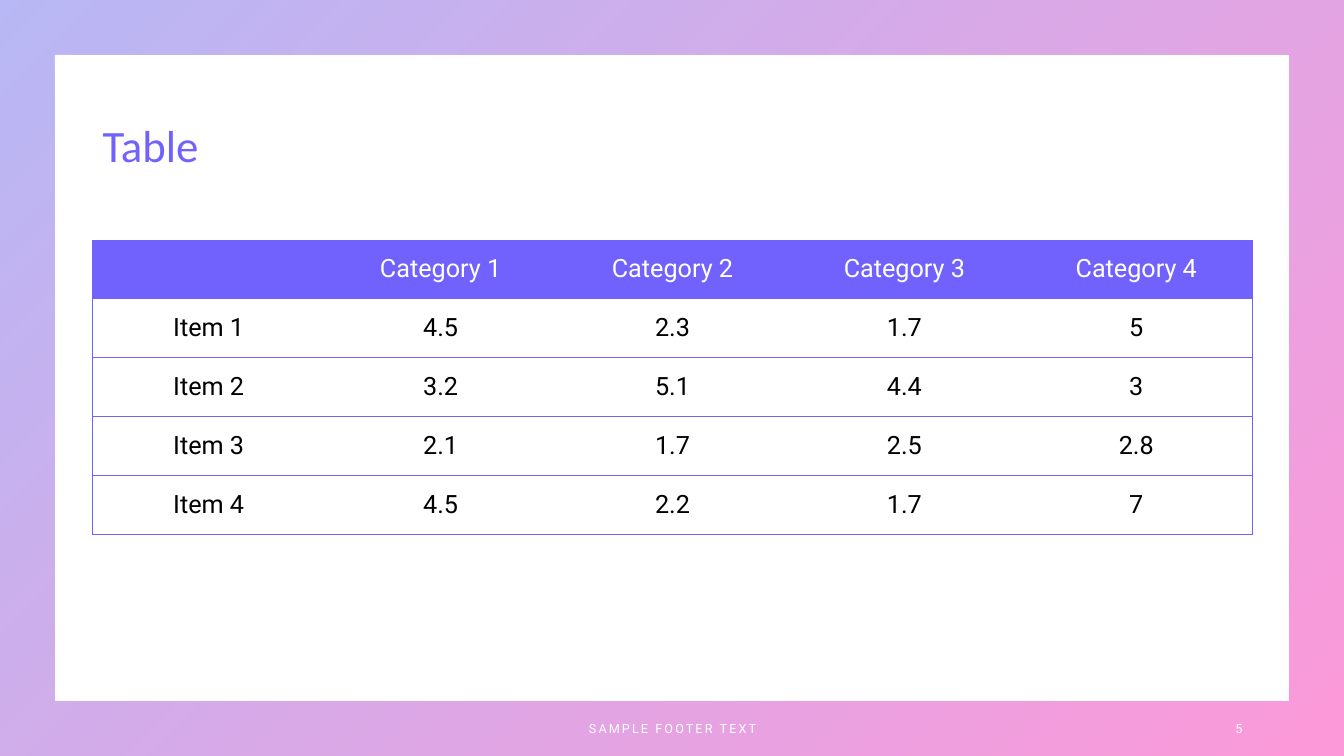
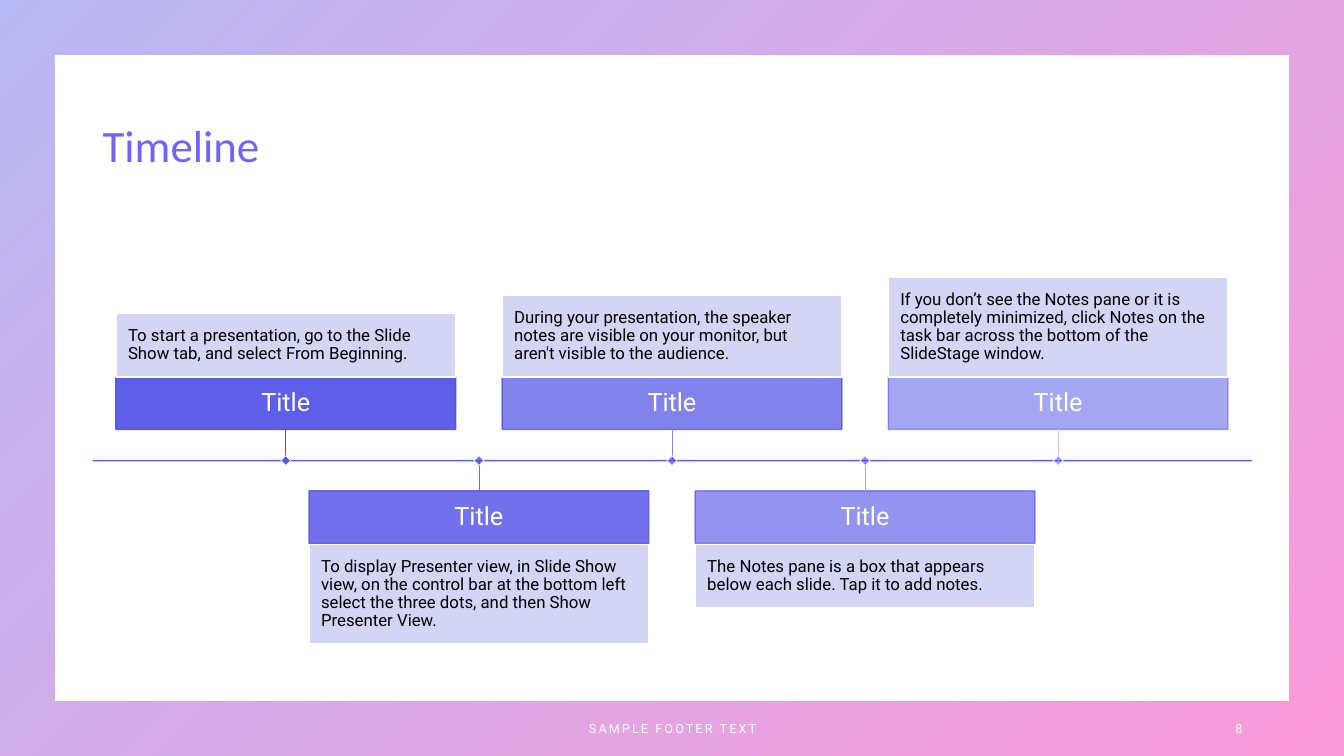
from dataclasses import dataclass

from lxml.etree import SubElement
from pptx import Presentation
from pptx.dml.color import RGBColor
from pptx.enum.shapes import MSO_CONNECTOR, MSO_SHAPE
from pptx.enum.text import MSO_ANCHOR, PP_ALIGN
from pptx.oxml.ns import qn
from pptx.util import Inches, Pt


@dataclass(frozen=True)
class Theme:
    indigo: str = "4D4EE6"
    pink: str = "F900A0"
    violet: str = "7162FE"
    lavender: str = "D0D0F5"
    white: str = "FFFFFF"
    black: str = "000000"
    title_font: str = "Calibri"
    body_font: str = "Roboto"
    title_size: float = 32
    label_size: float = 18
    body_size: float = 12
    footer_size: float = 9


theme = Theme()


def paint(color, rgb, opacity=100):
    """Set a colour of a fill, line or gradient stop, with its opacity in percent."""
    color.rgb = RGBColor.from_string(rgb)
    if opacity < 100:
        srgb = color._xFill.find(qn("a:srgbClr")) if hasattr(color, "_xFill") else None
        if srgb is None:
            srgb = color._color._xClr
        SubElement(srgb, qn("a:alpha")).set("val", str(opacity * 1000))


def write(holder, text, size, color, font=theme.body_font, align=PP_ALIGN.LEFT,
          inset=None, line_spacing=None, tracking=0):
    """Fill a shape or table cell with one formatted, vertically centred paragraph."""
    frame = holder.text_frame
    frame.word_wrap = True
    frame.vertical_anchor = MSO_ANCHOR.MIDDLE
    if inset is not None:
        frame.margin_left = frame.margin_right = Inches(inset)
        frame.margin_top = frame.margin_bottom = Inches(inset)
    paragraph = frame.paragraphs[0]
    paragraph.alignment = align
    if line_spacing:
        paragraph.line_spacing = line_spacing
    run = paragraph.add_run()
    run.text = text
    run.font.name = font
    run.font.size = Pt(size)
    run.font.bold = False
    run.font.color.rgb = RGBColor.from_string(color)
    if tracking:
        run.font._element.set("spc", str(int(tracking * 100)))


prs = Presentation()
prs.slide_width, prs.slide_height = Inches(13.33), Inches(7.5)
margin, content_width = 0.92, 11.5

# Shared frame, title and footer
slides = []
for heading, number in (("Table", "5"), ("Timeline", "8")):
    slide = prs.slides.add_slide(prs.slide_layouts[6])
    slides.append(slide)

    border = slide.shapes.add_shape(
        MSO_SHAPE.FRAME, 0, 0, prs.slide_width, prs.slide_height)
    border.adjustments[0] = 0.072
    border.shadow.inherit = False
    border.line.fill.background()
    border.fill.gradient()
    border.fill.gradient_angle = 315
    for stop, position, rgb in zip(
            border.fill.gradient_stops, (0, 1), (theme.indigo, theme.pink)):
        stop.position = position
        paint(stop.color, rgb, 40)

    title = slide.shapes.add_textbox(
        Inches(margin), Inches(0.74), Inches(content_width), Inches(1.45))
    write(title, heading, theme.title_size, theme.violet,
          font=theme.title_font, line_spacing=0.9)

    for left, width, text, align in (
            (4.42, 4.5, "SAMPLE FOOTER TEXT", PP_ALIGN.CENTER),
            (9.42, 3, number, PP_ALIGN.RIGHT)):
        footer = slide.shapes.add_textbox(
            Inches(left), Inches(7.03), Inches(width), Inches(0.4))
        write(footer, text, theme.footer_size, theme.white, align=align, tracking=1.5)

table_slide, timeline_slide = slides

# Table
rows = (
    ("", "Category 1", "Category 2", "Category 3", "Category 4"),
    ("Item 1", "4.5", "2.3", "1.7", "5"),
    ("Item 2", "3.2", "5.1", "4.4", "3"),
    ("Item 3", "2.1", "1.7", "2.5", "2.8"),
    ("Item 4", "4.5", "2.2", "1.7", "7"),
)
last_column = len(rows[0]) - 1
table = table_slide.shapes.add_table(
    len(rows), len(rows[0]), Inches(margin), Inches(2.38),
    Inches(content_width), Inches(2.92)).table
table.first_row = table.horz_banding = False

for r, row in enumerate(rows):
    for c, text in enumerate(row):
        cell = table.cell(r, c)
        # Horizontal rules everywhere, vertical rules on the outer edges only
        edges = {"a:lnL": c == 0, "a:lnR": c == last_column, "a:lnT": True, "a:lnB": True}
        for tag, visible in edges.items():
            edge = SubElement(cell._tc.get_or_add_tcPr(), qn(tag), w=str(Pt(0.5)))
            if visible:
                edge_fill = SubElement(edge, qn("a:solidFill"))
                SubElement(edge_fill, qn("a:srgbClr"), val=theme.violet)
            else:
                SubElement(edge, qn("a:noFill"))
        if r == 0:
            cell.fill.solid()
            paint(cell.fill.fore_color, theme.violet)
        else:
            cell.fill.background()
        cell.vertical_anchor = MSO_ANCHOR.MIDDLE
        if text:
            write(cell, text, theme.label_size, theme.white if r == 0 else theme.black,
                  align=PP_ALIGN.CENTER)

# Timeline axis
axis_y = 4.57
shapes = timeline_slide.shapes
axis = shapes.add_connector(
    MSO_CONNECTOR.STRAIGHT, Inches(margin), Inches(axis_y),
    Inches(margin + content_width), Inches(axis_y))
axis.line.width = Pt(1)
axis.line.fill.solid()
paint(axis.line.fill.fore_color, theme.indigo, 90)
rules = [axis]

# Timeline steps, alternately above and below the axis: text, line count, stem colour
steps = (
    ("To start a presentation, go to the Slide Show tab, and select From Beginning.",
     2, "4A4BDC"),
    ("To display Presenter view, in Slide Show view, on the control bar at the bottom "
     "left select the three dots, and then Show Presenter View.", 4, "6868E2"),
    ("During your presentation, the speaker notes are visible on your monitor, but "
     "aren't visible to the audience.", 3, "8686E7"),
    ("The Notes pane is a box that appears below each slide. Tap it to add notes.",
     2, "A4A4ED"),
    ("If you don’t see the Notes pane or it is completely minimized, click Notes on the "
     "task bar across the bottom of the SlideStage window.", 4, "C2C2F3"),
)
step_width, bar_height, marker_size = 3.37, 0.52, 0.07
pitch = 7.66 / (len(steps) - 1)

for i, (text, line_count, stem_color) in enumerate(steps):
    above = i % 2 == 0
    opacity = 90 - 10 * i
    left = 1.15 + i * pitch
    center = left + step_width / 2
    note_height = 0.27 + 0.18 * line_count
    bar_top = 3.74 if above else 4.87
    note_top = bar_top - note_height if above else bar_top + bar_height + 0.01

    bar = shapes.add_shape(MSO_SHAPE.RECTANGLE, Inches(left), Inches(bar_top),
                           Inches(step_width), Inches(bar_height))
    note = shapes.add_shape(MSO_SHAPE.RECTANGLE, Inches(left), Inches(note_top),
                            Inches(step_width), Inches(note_height))
    stem = shapes.add_connector(MSO_CONNECTOR.STRAIGHT, Inches(center), Inches(bar_top),
                                Inches(center), Inches(axis_y))
    stem.begin_connect(bar, 2 if above else 0)
    stem.line.width = Pt(0.5)
    stem.line.color.rgb = RGBColor.from_string(stem_color)
    rules.append(stem)
    marker = shapes.add_shape(
        MSO_SHAPE.RECTANGLE, Inches(center - marker_size / 2),
        Inches(axis_y - marker_size / 2), Inches(marker_size), Inches(marker_size))
    marker.rotation = 45

    for box, fill, fill_opacity, outline, outline_opacity, weight in (
            (bar, theme.indigo, opacity, theme.indigo, opacity, 1),
            (note, theme.lavender, 90, theme.white, 100, 1),
            (marker, theme.indigo, opacity, theme.white, 100, 0.5)):
        box.shadow.inherit = False
        box.fill.solid()
        paint(box.fill.fore_color, fill, fill_opacity)
        box.line.width = Pt(weight)
        box.line.fill.solid()
        paint(box.line.fill.fore_color, outline, outline_opacity)

    write(bar, "Title", theme.label_size, theme.white,
          align=PP_ALIGN.CENTER, inset=0.1, line_spacing=0.9)
    write(note, text, theme.body_size, theme.black, inset=0.12, line_spacing=0.9)

# Lines without shadow
for rule in rules:
    SubElement(rule._element.spPr, qn("a:effectLst"))

prs.save("out.pptx")
